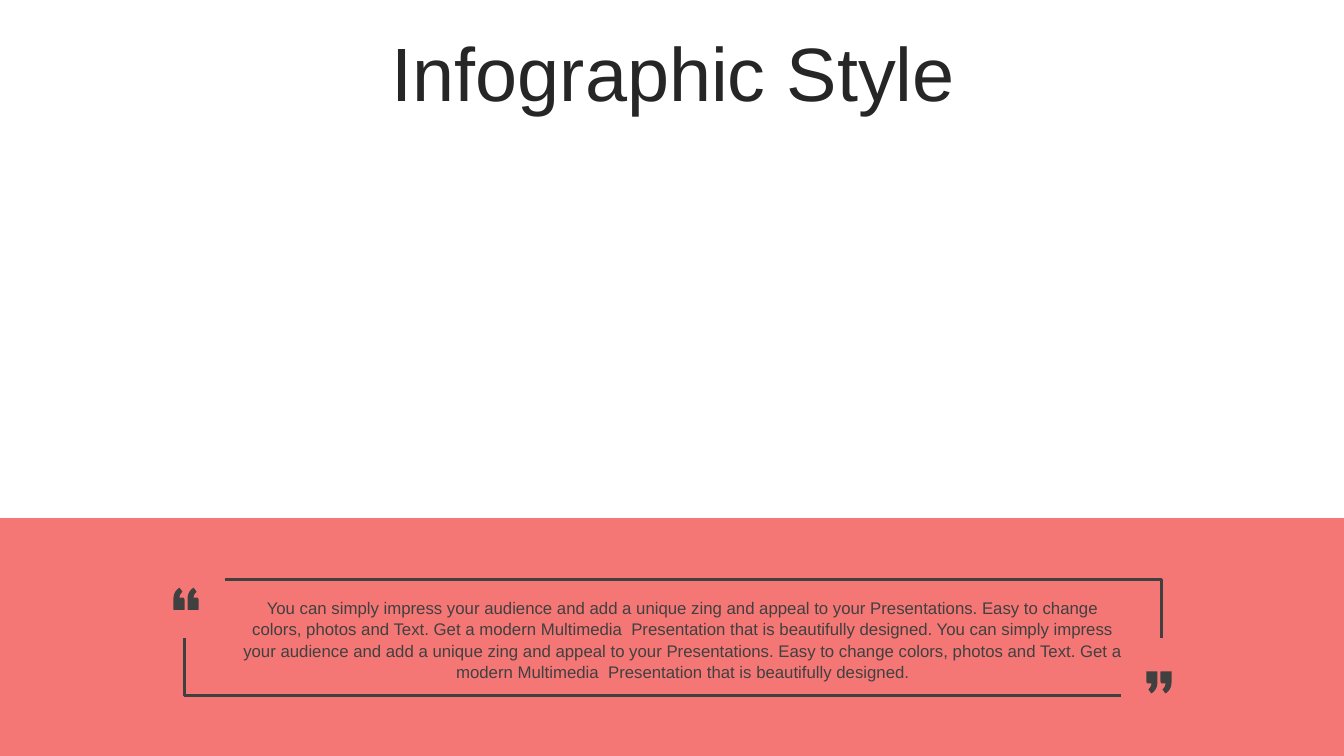
from collections import namedtuple
from dataclasses import dataclass

from pptx import Presentation
from pptx.dml.color import RGBColor
from pptx.enum.text import MSO_ANCHOR, MSO_AUTO_SIZE, PP_ALIGN
from pptx.enum.shapes import MSO_SHAPE
from pptx.util import Inches, Pt

Box = namedtuple("Box", "left top width height")


@dataclass(frozen=True)
class Theme:
    font: str = "Arial"
    coral: RGBColor = RGBColor(0xF4, 0x77, 0x75)
    heading: RGBColor = RGBColor(0x26, 0x26, 0x26)
    ink: RGBColor = RGBColor(0x40, 0x40, 0x40)
    title_size: int = 54
    body_size: int = 12
    frame_width: int = 2


THEME = Theme()
UNITS_PER_INCH = 1000
MARK_WIDTH, MARK_HEIGHT, MARK_STEP = 0.11, 0.22, 0.14
MARK_START = (0.01, 0.22)
MARK_SEGMENTS = [
    [(0.1, 0.22)],
    [(0.11, 0.22), (0.11, 0.22), (0.11, 0.21)],
    [(0.11, 0.12)],
    [(0.11, 0.11), (0.1, 0.1), (0.1, 0.1)],
    [(0.09, 0.1), (0.07, 0.1), (0.06, 0.1)],
    [(0.06, 0.08), (0.07, 0.06), (0.09, 0.04)],
    [(0.06, 0)],
    [(0.01, 0.03), (0, 0.08), (0, 0.12)],
    [(0, 0.21)],
    [(0, 0.22), (0, 0.22), (0.01, 0.22)],
]
QUOTE = " ".join([
    "You can simply impress your audience and add a unique zing and appeal to "
    "your Presentations. Easy to change colors, photos and Text. Get a modern "
    "Multimedia  Presentation that is beautifully designed."
] * 2)


def place(item, box):
    for name, value in box._asdict().items():
        setattr(item, name, Inches(value))


def write(item, text, formats, **frame_formats):
    frame = item.text_frame
    frame.text = text
    for name, value in frame_formats.items():
        setattr(frame, name, value)
    para = frame.paragraphs[0]
    for name, value in formats["para"].items():
        setattr(para, name, value)
    span = para.runs[0]
    span.font.name = THEME.font
    span.font.size = Pt(formats["size"])
    span.font.color.rgb = formats["color"]


def trace(shapes, points, close):
    start, *rest = [(x * UNITS_PER_INCH, y * UNITS_PER_INCH) for x, y in points]
    builder = shapes.build_freeform(*start, scale=Inches(1) / UNITS_PER_INCH)
    builder.add_line_segments(rest, close=close)
    outline = builder.convert_to_shape()
    outline.shadow.inherit = False
    return outline


def mark_outline(steps=6):
    points = [MARK_START]
    for segment in MARK_SEGMENTS:
        if len(segment) == 1:
            points += segment
            continue
        curve = [points[-1], *segment]
        for step in range(1, steps + 1):
            t = step / steps
            weights = ((1 - t) ** 3, 3 * t * (1 - t) ** 2, 3 * t * t * (1 - t), t ** 3)
            points.append(tuple(
                sum(weight * point[axis] for weight, point in zip(weights, curve))
                for axis in (0, 1)
            ))
    return points


def add_quote_marks(shapes, left, top, turned):
    for index in range(2):
        points = [
            (MARK_WIDTH - x, MARK_HEIGHT - y) if turned else (x, y)
            for x, y in mark_outline()
        ]
        offset = left + index * MARK_STEP
        mark = trace(shapes, [(offset + x, top + y) for x, y in points], True)
        mark.fill.solid()
        mark.fill.fore_color.rgb = THEME.ink
        mark.line.fill.background()


def add_frame(shapes, box, gap=0.4):
    right, bottom = box.left + box.width, box.top + box.height
    middle = box.top + box.height / 2
    corners = [
        [(box.left + gap, box.top), (right, box.top), (right, middle)],
        [(right - gap, bottom), (box.left, bottom), (box.left, middle)],
    ]
    for points in corners:
        corner = trace(shapes, points, False)
        corner.fill.background()
        corner.line.color.rgb = THEME.ink
        corner.line.width = Pt(THEME.frame_width)


def add_title(page, box):
    title = page.shapes.title
    place(title, box)
    write(
        title, "Infographic Style",
        {"para": {"alignment": PP_ALIGN.CENTER, "line_spacing": 0.9,
                  "space_before": Pt(0)},
         "size": THEME.title_size, "color": THEME.heading},
        vertical_anchor=MSO_ANCHOR.MIDDLE, word_wrap=True,
        auto_size=MSO_AUTO_SIZE.NONE,
    )


def add_band(page, box):
    band = page.shapes.add_shape(MSO_SHAPE.RECTANGLE, *map(Inches, box))
    band.shadow.inherit = False
    band.fill.solid()
    band.fill.fore_color.rgb = THEME.coral
    band.line.fill.background()


def add_quote(page, box):
    shapes = page.shapes.add_group_shape().shapes
    words = shapes.add_textbox(*map(Inches, (
        box.left + 0.45, box.top + 0.12, box.width - 0.7, 0.91)))
    write(
        words, QUOTE,
        {"para": {"alignment": PP_ALIGN.CENTER, "line_spacing": 1.06},
         "size": THEME.body_size, "color": THEME.ink},
        word_wrap=True, auto_size=MSO_AUTO_SIZE.SHAPE_TO_FIT_TEXT,
    )
    add_quote_marks(shapes, box.left - 0.11, box.top + 0.08, False)
    add_quote_marks(shapes, box.left + box.width - 0.15, box.top + 0.91, True)
    add_frame(shapes, box)


def main():
    deck = Presentation()
    deck.slide_width, deck.slide_height = Inches(13.33), Inches(7.5)
    page = deck.slides.add_slide(deck.slide_layouts[5])
    add_title(page, Box(0.35, 0.37, 12.66, 0.79))
    add_band(page, Box(0, 5.14, 13.33, 2.36))
    add_quote(page, Box(1.83, 5.75, 9.69, 1.15))
    deck.save("out.pptx")


if __name__ == "__main__":
    main()
